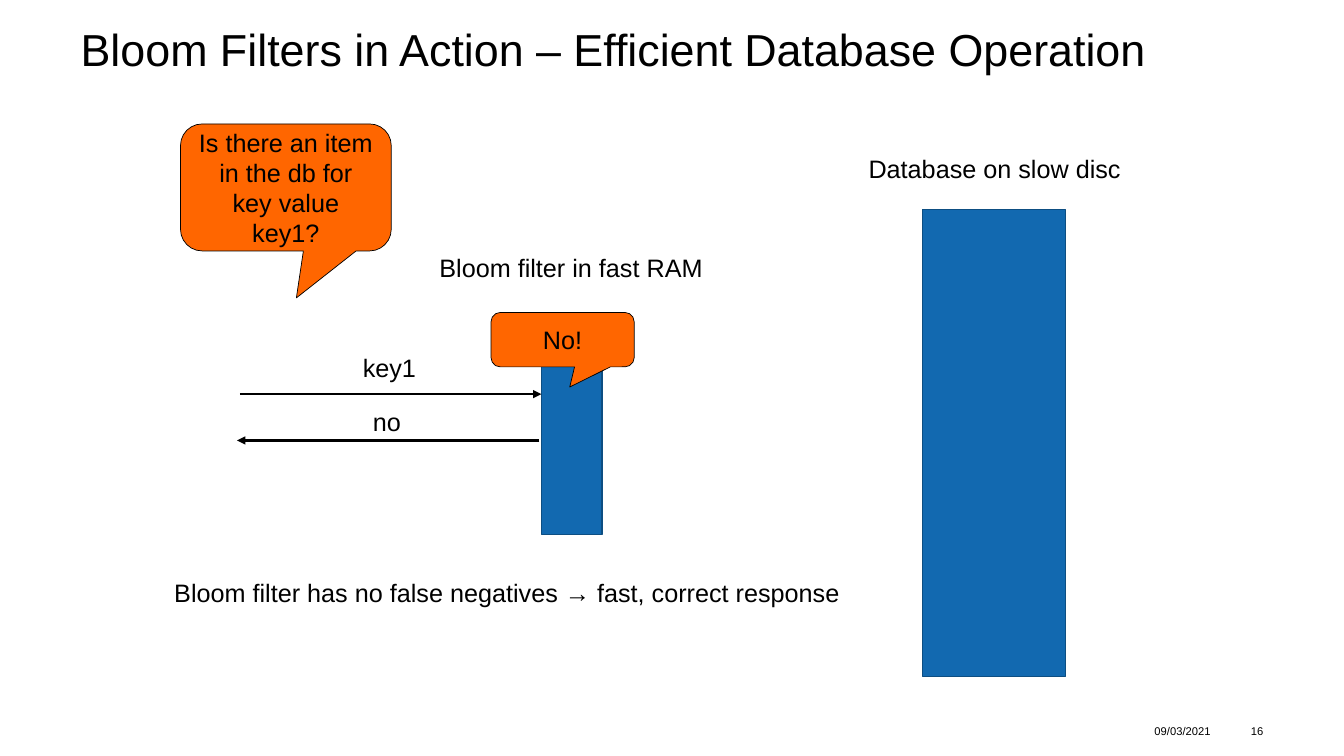
from pptx import Presentation, util as u
from pptx.dml.color import RGBColor
from pptx.enum import shapes as sh, text as tx
from pptx.oxml.ns import qn
from lxml import etree

PX = 9144  # 100 px to the inch
BLACK = RGBColor(0x00, 0x00, 0x00)
BLUE = RGBColor(0x12, 0x69, 0xB0)
NAVY = RGBColor(0x0D, 0x4E, 0x82)
ORANGE = RGBColor(0xFF, 0x66, 0x00)
LEFT, MID, RIGHT = tx.PP_ALIGN.LEFT, tx.PP_ALIGN.CENTER, tx.PP_ALIGN.RIGHT


def emu(*px):
    return [u.Emu(n * PX) for n in px]


def write(frame, words, size=18, align=LEFT, anchor=tx.MSO_ANCHOR.TOP,
          wrap=True, inset=None, space=None):
    """Fill a text frame with one formatted paragraph."""
    frame.word_wrap = wrap
    frame.vertical_anchor = anchor
    if inset is not None:
        frame.margin_left = frame.margin_right = inset
        frame.margin_top = frame.margin_bottom = inset
    para = frame.paragraphs[0]
    para.alignment = align
    if space:
        para.line_spacing = space
    run = para.add_run()
    run.text = words
    run.font.name = "Arial"
    run.font.size = u.Pt(size)
    run.font.color.rgb = BLACK


def label(slide, box, words, **form):
    frame = slide.shapes.add_textbox(*emu(*box)).text_frame
    write(frame, words, **form)
    return frame


def tag(slide, box, words, align=LEFT):
    """Label on one line, in a box that fits its text."""
    frame = label(slide, box, words, align=align, wrap=False)
    frame.auto_size = tx.MSO_AUTO_SIZE.SHAPE_TO_FIT_TEXT


def block(slide, kind, box, fill, edge, width):
    shape = slide.shapes.add_shape(kind, *emu(*box))
    shape.shadow.inherit = False
    shape.fill.solid()
    shape.fill.fore_color.rgb = fill
    shape.line.color.rgb = edge
    shape.line.width = u.Pt(width)
    return shape


def store(slide, box):
    block(slide, sh.MSO_SHAPE.RECTANGLE, box, BLUE, NAVY, 1)


def bubble(slide, box, words):
    kind = sh.MSO_SHAPE.ROUNDED_RECTANGULAR_CALLOUT
    shape = block(slide, kind, box, ORANGE, BLACK, 0.5)
    for i, value in enumerate((0.05, 0.87, 0.17)):
        shape.adjustments[i] = value
    write(shape.text_frame, words, align=MID, anchor=tx.MSO_ANCHOR.MIDDLE)


def arrow(slide, start, end, y):
    line = slide.shapes.add_connector(sh.MSO_CONNECTOR.STRAIGHT,
                                      *emu(start, y, end, y))
    line.line.color.rgb = BLACK
    line.line.width = u.Pt(1.75)
    tip = etree.SubElement(line.line._get_or_add_ln(), qn("a:tailEnd"))
    tip.set("type", "triangle")
    etree.SubElement(line._element.spPr, qn("a:effectLst"))


def main():
    deck = Presentation()
    deck.slide_width, deck.slide_height = emu(1333, 750)
    slide = deck.slides.add_slide(deck.slide_layouts[6])

    # Title and footer
    label(slide, (80, 28, 1240, 98),
          "Bloom Filters in Action – Efficient Database Operation",
          size=32, inset=0, space=0.9)
    foot = dict(size=8, inset=0, anchor=tx.MSO_ANCHOR.MIDDLE)
    label(slide, (1145, 713, 67, 24), "09/03/2021", **foot)
    label(slide, (1218, 713, 35, 24), "16", align=RIGHT, **foot)

    # Filter and database
    store(slide, (537, 311, 60, 219))
    store(slide, (915, 208, 142, 463))
    tag(slide, (426, 245, 284, 40), "Bloom filter in fast RAM")
    tag(slide, (850, 147, 273, 40), "Database on slow disc", align=MID)

    # Query and reply
    bubble(slide, (179, 123, 209, 126),
           "Is there an item in the db for key value key1?")
    arrow(slide, 238, 537, 391)
    arrow(slide, 535, 235, 437)
    tag(slide, (350, 345, 73, 40), "key1")
    tag(slide, (360, 398, 48, 40), "no")
    bubble(slide, (487, 310, 142, 54), "No!")

    # Conclusion
    tag(slide, (163, 568, 686, 40),
        "Bloom filter has no false negatives → fast, correct response")

    deck.save("out.pptx")


if __name__ == "__main__":
    main()
